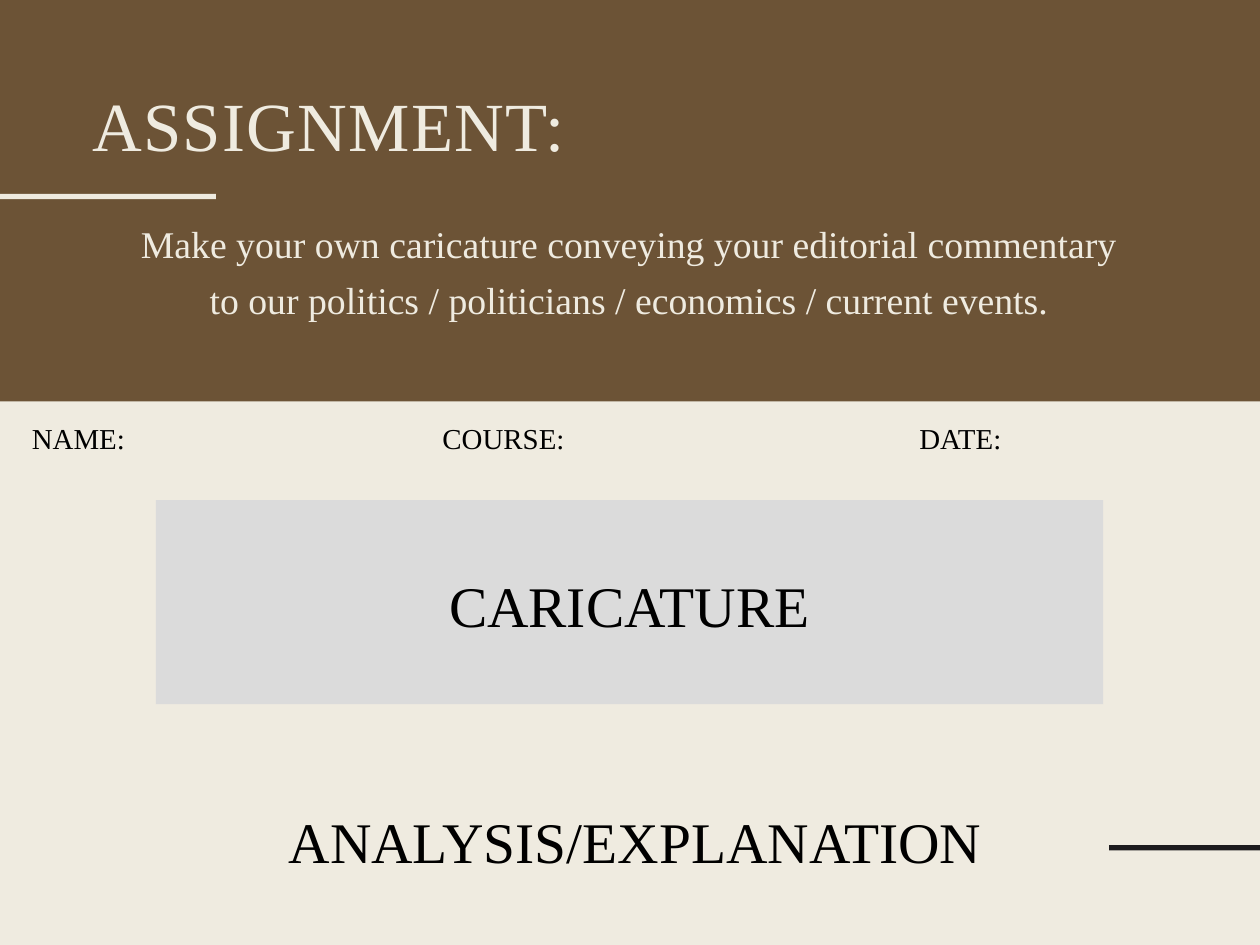
from lxml import etree
from pptx import Presentation
from pptx.dml.color import RGBColor
from pptx.enum.shapes import MSO_SHAPE
from pptx.enum.text import MSO_ANCHOR, MSO_AUTO_SIZE, PP_ALIGN
from pptx.oxml.ns import qn
from pptx.util import Pt

BROWN, CREAM, GREY, DARK, BLACK = "6C5336", "EFEBE0", "DBDBDB", "1D1B1E", "000000"


def color(hex_string):
    return RGBColor.from_string(hex_string)


def write(shape, text, size, line, hex_color=BLACK, align=PP_ALIGN.CENTER, spacing=0, tabs=()):
    """Fill a shape with one paragraph; line and tabs are in points, spacing in 1/100 point."""
    frame = shape.text_frame
    frame.word_wrap = True
    frame.auto_size = MSO_AUTO_SIZE.NONE
    frame.vertical_anchor = MSO_ANCHOR.TOP
    frame.margin_left = frame.margin_right = frame.margin_top = frame.margin_bottom = 0
    paragraph = frame.paragraphs[0]
    paragraph.alignment = align
    paragraph.line_spacing = Pt(line)
    if tabs:
        tab_list = etree.SubElement(paragraph._p.get_or_add_pPr(), qn("a:tabLst"))
        for position in tabs:
            etree.SubElement(tab_list, qn("a:tab"), pos=str(Pt(position)), algn="l")
    run = paragraph.add_run()
    run.text = text
    run.font.name = "Times New Roman"
    run.font.size = Pt(size)
    run.font.color.rgb = color(hex_color)
    if spacing:
        run._r.get_or_add_rPr().set("spc", str(spacing))


presentation = Presentation()
presentation.slide_width, presentation.slide_height = Pt(768), Pt(576)
slide = presentation.slides.add_slide(presentation.slide_layouts[5])
slide.background.fill.solid()
slide.background.fill.fore_color.rgb = color(CREAM)

# Header band, accent bars and caricature panel, kept behind the title
title = slide.shapes.title
for left, top, width, height, fill in [
    (-8, -14, 784, 258.7, BROWN),
    (-20, 118.2, 151.7, 3.2, CREAM),
    (676, 515.2, 100, 3.2, DARK),
    (95, 304.8, 577.4, 124.4, GREY),
]:
    shape = slide.shapes.add_shape(MSO_SHAPE.RECTANGLE, Pt(left), Pt(top), Pt(width), Pt(height))
    shape.shadow.inherit = False
    shape.fill.solid()
    shape.fill.fore_color.rgb = color(fill)
    shape.line.fill.background()
    title.element.addprevious(shape.element)

title.left, title.top, title.width, title.height = Pt(56.2), Pt(50.4), Pt(562), Pt(50.4)
write(title, "ASSIGNMENT:", 42, 50.4, CREAM, PP_ALIGN.LEFT, spacing=80)

instruction = slide.shapes.add_textbox(Pt(77), Pt(127.4), Pt(613.4), Pt(98.6))
write(instruction, "Make your own caricature conveying your editorial commentary "
      "to our politics / politicians / economics / current events.", 23, 34.5, CREAM)

student_line = slide.shapes.add_textbox(Pt(19.4), Pt(251.3), Pt(690.5), Pt(24.5))
write(student_line, "NAME:\tCOURSE:\tDATE:", 17.6, 26.4, align=PP_ALIGN.LEFT, tabs=(250.3, 541))

for heading, left, top in [("CARICATURE", 95, 337), ("ANALYSIS/EXPLANATION", 98.6, 481)]:
    heading_box = slide.shapes.add_textbox(Pt(left), Pt(top), Pt(577.4), Pt(49.7))
    write(heading_box, heading, 35, 52.5)

presentation.save("out.pptx")
